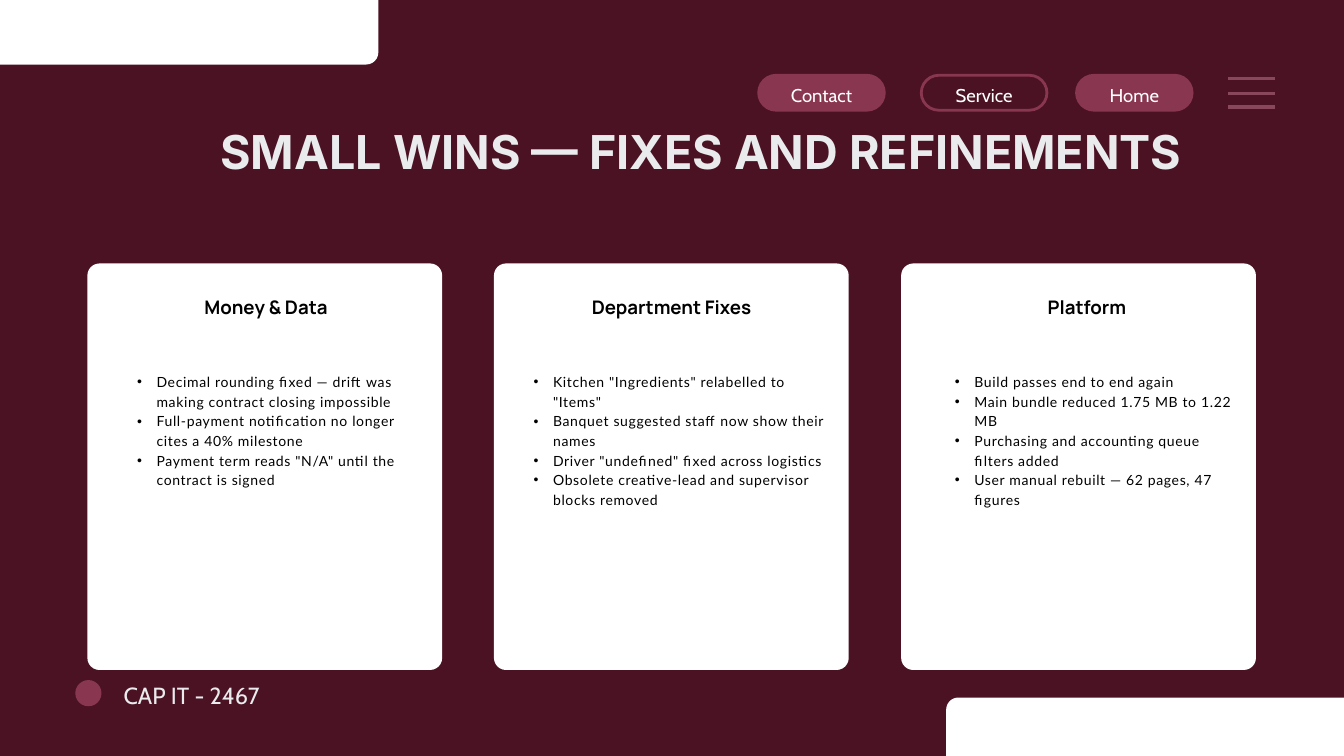
"""Build the 'Small wins' slide: navigation bar, title and three cards of fixes."""
from lxml import etree
from pptx import Presentation
from pptx.dml.color import RGBColor
from pptx.enum.shapes import MSO_CONNECTOR, MSO_SHAPE
from pptx.enum.text import MSO_ANCHOR, MSO_AUTO_SIZE, PP_ALIGN
from pptx.oxml.ns import qn
from pptx.util import Emu, Pt

ROUNDED, OVAL = MSO_SHAPE.ROUNDED_RECTANGLE, MSO_SHAPE.OVAL
STRAIGHT = MSO_CONNECTOR.STRAIGHT
TOP, MIDDLE = MSO_ANCHOR.TOP, MSO_ANCHOR.MIDDLE
FIXED = MSO_AUTO_SIZE.NONE
LEFT, CENTER = PP_ALIGN.LEFT, PP_ALIGN.CENTER

BURGUNDY = RGBColor(0x4A, 0x12, 0x23)
ROSE = RGBColor(0x89, 0x36, 0x50)
DUSTY_ROSE = RGBColor(0x89, 0x47, 0x5B)
WHITE = RGBColor(0xFF, 0xFF, 0xFF)
PALE = RGBColor(0xE9, 0xEB, 0xED)
BLACK = RGBColor(0x00, 0x00, 0x00)

PX = 9144
PAGE_SIZE = (2000, 1125)
CORNER = 18

TITLE = "SMALL WINS — FIXES AND REFINEMENTS"
TITLE_AREA = (112, 193, 1864, 94)
FOOTER = "CAP IT - 2467"
FOOTER_AREA = (184, 1007, 516, 46)
DOT_AREA = (112, 1012, 39, 39)
CORNER_PANELS = [(1408, 1038, 1048, 263), (-485, -168, 1048, 264)]
NAVIGATION = [("Contact", 1129, 187, True), ("Service", 1371, 187, False), ("Home", 1602, 172, True)]
MENU_X = (1828, 1897)
MENU_ROWS = (117, 139, 159)
CARDS = [
    {"heading": "Money & Data", "heading_x": (224, 344), "list_x": (175, 442), "items": [
        "Decimal rounding fixed — drift was making contract closing impossible",
        "Full-payment notification no longer cites a 40% milestone",
        'Payment term reads "N/A" until the contract is signed']},
    {"heading": "Department Fixes", "heading_x": (773, 453), "list_x": (765, 470), "items": [
        'Kitchen "Ingredients" relabelled to "Items"',
        "Banquet suggested staff now show their names",
        'Driver "undefined" fixed across logistics',
        "Obsolete creative-lead and supervisor blocks removed"]},
    {"heading": "Platform", "heading_x": (1408, 419), "list_x": (1392, 442), "items": [
        "Build passes end to end again",
        "Main bundle reduced 1.75 MB to 1.22 MB",
        "Purchasing and accounting queue filters added",
        "User manual rebuilt — 62 pages, 47 figures"]},
]

STYLES = {
    "title": {"font": ("Inter", 50, True, PALE), "align": CENTER, "line": 52.5},
    "heading": {"font": ("Manrope", 20, True, BLACK), "align": CENTER, "line": 28},
    "list": {"font": ("Lato", 15, False, BLACK), "align": LEFT, "line": 21, "bullet": True},
    "button": {"font": ("Cabin", 19.8, False, WHITE), "align": CENTER, "line": 27.8, "anchor": MIDDLE},
    "footer": {"font": ("Cabin", 25, False, PALE), "align": LEFT, "line": 35},
}


def scaled(*lengths):
    return [Emu(length * PX) for length in lengths]


def set_all(target, values):
    for name, value in values.items():
        setattr(target, name, value)


def write(box, lines, style_name):
    style = STYLES[style_name]
    name, size, bold, color = style["font"]
    frame = box.text_frame
    set_all(frame, {"margin_left": 0, "margin_right": 0, "margin_top": 0, "margin_bottom": 0,
                    "word_wrap": True, "auto_size": FIXED,
                    "vertical_anchor": style.get("anchor", TOP)})
    for number, line in enumerate(lines):
        para = frame.add_paragraph() if number else frame.paragraphs[0]
        if style.get("bullet"):
            properties = para._p.get_or_add_pPr()
            properties.set("marL", str(58 * PX))
            properties.set("indent", str(-29 * PX))
            etree.SubElement(properties, qn("a:buFont"), typeface="Arial")
            etree.SubElement(properties, qn("a:buChar"), char="•")
        set_all(para, {"alignment": style["align"], "line_spacing": Pt(style["line"]),
                       "space_before": Pt(0), "space_after": Pt(0)})
        span = para.add_run()
        span.text = line
        set_all(span.font, {"name": name, "size": Pt(size), "bold": bold})
        span.font.color.rgb = color
        if style.get("bullet"):
            span.font._element.set("spc", "70")


def add_text(page, area, text, style_name):
    write(page.shapes.add_textbox(*scaled(*area)), [text], style_name)


def fill_placeholder(page, holder, area, lines, style_name):
    page.shapes._spTree.append(holder._element)
    set_all(holder, dict(zip(("left", "top", "width", "height"), scaled(*area))))
    write(holder, lines, style_name)


def add_block(page, kind, area, fill=None, outline=None, radius=None):
    block = page.shapes.add_shape(kind, *scaled(*area))
    block.shadow.inherit = False
    if radius is not None:
        block.adjustments[0] = radius / min(area[2:])
    if fill is None:
        block.fill.background()
    else:
        block.fill.solid()
        block.fill.fore_color.rgb = fill
    if outline is None:
        block.line.fill.background()
    else:
        block.line.color.rgb = outline
        block.line.width = Pt(3)
    return block


def add_menu_icon(page):
    for y in MENU_ROWS:
        bar = page.shapes.add_connector(STRAIGHT, *scaled(MENU_X[0], y, MENU_X[1], y))
        bar.line.color.rgb = DUSTY_ROSE
        bar.line.width = Pt(4)
        etree.SubElement(bar._element.spPr, qn("a:effectLst"))


def main():
    deck = Presentation()
    deck.slide_width, deck.slide_height = scaled(*PAGE_SIZE)
    page = deck.slides.add_slide(deck.slide_layouts.get_by_name("Comparison"))
    page.background.fill.solid()
    page.background.fill.fore_color.rgb = BURGUNDY
    title, *bodies = page.placeholders

    for label, x, width, filled in NAVIGATION:
        pill = add_block(page, ROUNDED, (x, 112, width, 52), ROSE if filled else None, ROSE, 26)
        write(pill, [label], "button")
    fill_placeholder(page, title, TITLE_AREA, [TITLE], "title")

    for column, (card, body) in enumerate(zip(CARDS, bodies)):
        add_block(page, ROUNDED, (130 + 1211 * column // 2, 392, 528, 605), WHITE, radius=CORNER)
        x, width = card["heading_x"]
        add_text(page, (x, 434, width, 40), card["heading"], "heading")
        x, width = card["list_x"]
        fill_placeholder(page, body, (x, 552, width, 372), card["items"], "list")
    for spare in bodies[len(CARDS):]:
        page.shapes._spTree.remove(spare._element)

    for area in CORNER_PANELS:
        add_block(page, ROUNDED, area, WHITE, radius=CORNER)
    add_menu_icon(page)
    add_block(page, OVAL, DOT_AREA, ROSE)
    add_text(page, FOOTER_AREA, FOOTER, "footer")
    deck.save("out.pptx")


if __name__ == "__main__":
    main()
